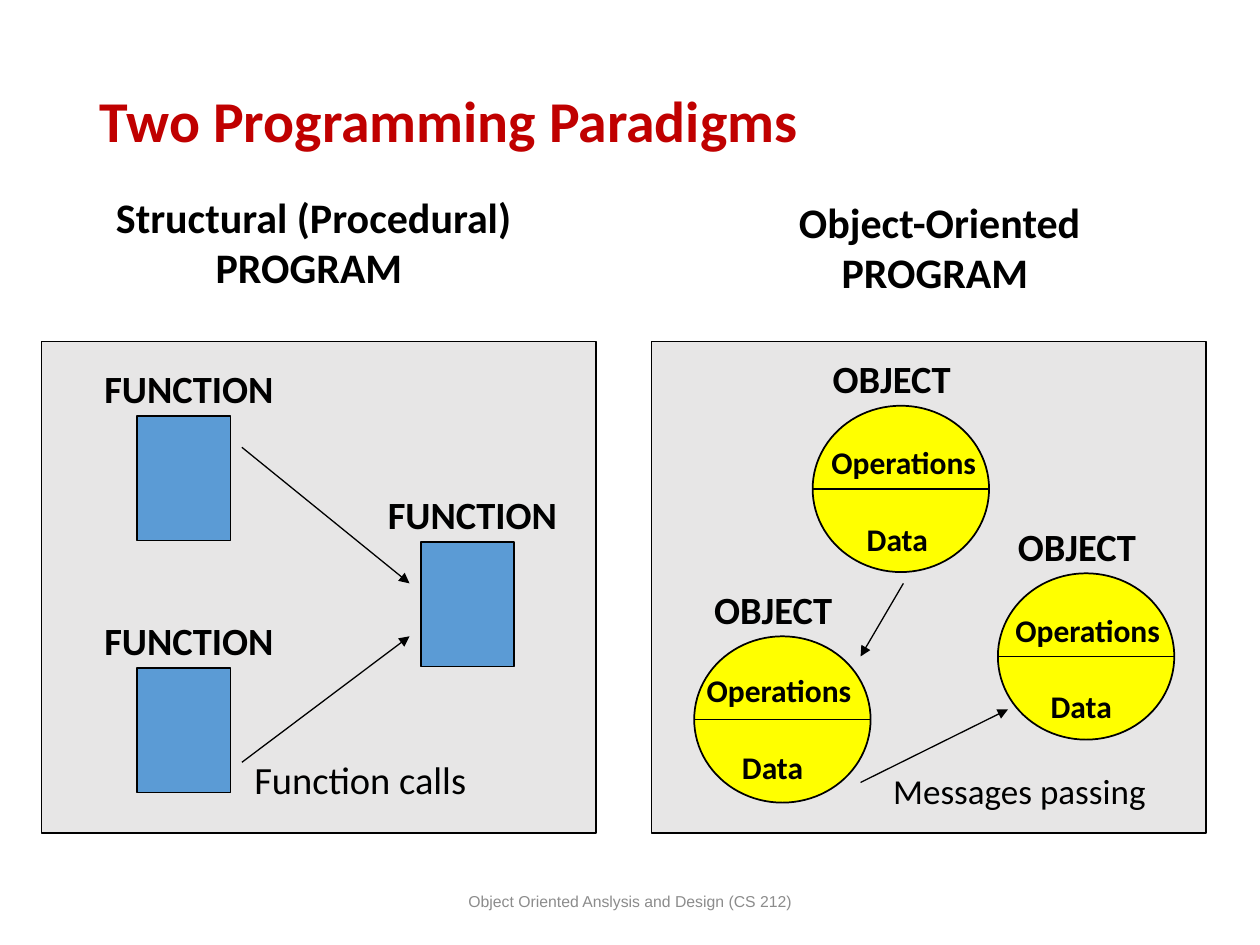
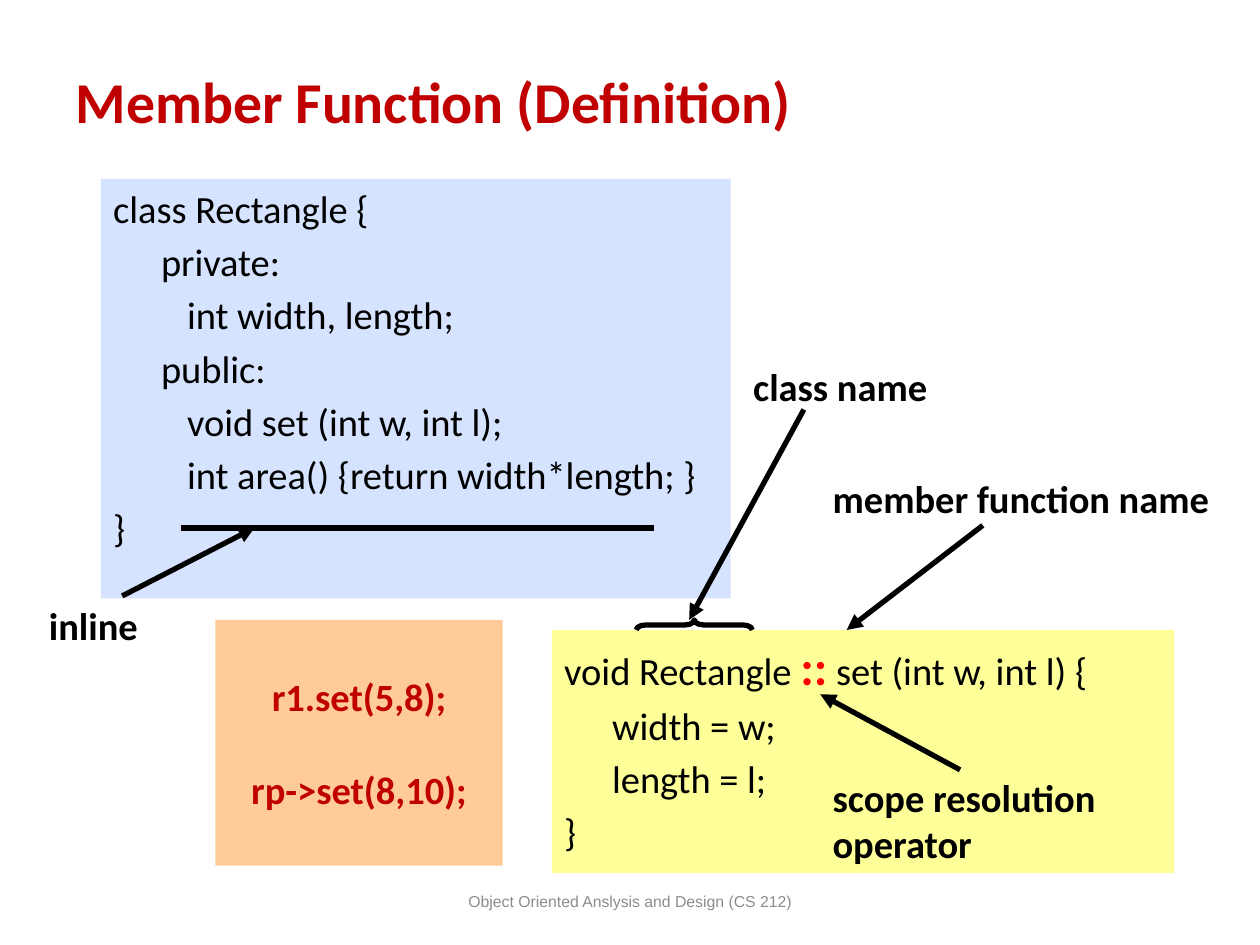
"""Build two slides on programming paradigms and member function definitions."""
import dataclasses

import lxml.etree
import pptx
import pptx.dml.color
import pptx.enum.shapes
import pptx.enum.text
import pptx.oxml.ns
import pptx.presentation
import pptx.shapes.autoshape
import pptx.slide
import pptx.util

EMU_PER_PX = 9144
BLACK, RED, SCOPE_RED = "000000", "C00000", "FF0000"
PANEL_GREY, FUNCTION_BLUE, OBJECT_YELLOW = "E7E6E6", "5B9BD5", "FFFF00"
CLASS_BLUE, DEFINITION_YELLOW, CALL_ORANGE = "D5E3FF", "FFFF99", "FFCC99"
FOOTER_GREY = "8C8C8C"
SHAPES = pptx.enum.shapes.MSO_SHAPE
ANCHOR = pptx.enum.text.MSO_ANCHOR
ALIGN = pptx.enum.text.PP_ALIGN


@dataclasses.dataclass(frozen=True)
class Box:
    left: int
    top: int
    width: int
    height: int


@dataclasses.dataclass(frozen=True)
class Run:
    text: str
    size: int = 22
    bold: bool = False
    color: str = BLACK
    font: str = "Calibri"


@dataclasses.dataclass(frozen=True)
class Paragraph:
    runs: tuple[Run, ...]
    align: ALIGN = ALIGN.LEFT
    before: int = 0
    margin: int = 0
    indent: int = 0
    spacing: float = 1.0


@dataclasses.dataclass(frozen=True)
class Stroke:
    start: tuple[int, int]
    end: tuple[int, int]
    weight: float = 1
    arrow: bool = True


@dataclasses.dataclass(frozen=True)
class ObjectCircle:
    left: int
    top: int
    content_left: int
    content_top: int


@dataclasses.dataclass(frozen=True)
class Callout:
    box: Box
    lines: tuple[str, ...]
    pointer: Stroke


FUNCTIONS = ((73, 285), (298, 385), (73, 485))
OBJECTS = (
    ObjectCircle(792, 455, 796, 480),
    ObjectCircle(551, 505, 551, 528),
    ObjectCircle(645, 322, 650, 347),
)
CALLS = (
    Stroke((192, 355), (325, 463), 0.75),
    Stroke((192, 605), (325, 505), 0.75),
    Stroke((683, 621), (800, 563), 0.75),
    Stroke((717, 463), (683, 521), 0.75),
)
CLASS_CODE = (
    "class Rectangle {",
    "\tprivate:",
    "\t   int width, length;",
    "\tpublic:",
    "\t   void set (int w, int l);",
    "\t   int area() {return width*length; }",
    "}",
)
CALLOUTS = (
    Callout(Box(29, 473, 93, 47), ("inline",), Stroke((97, 473), (202, 419), 3)),
    Callout(Box(588, 283, 163, 47), ("class name",), Stroke((638, 325), (547, 492), 3)),
    Callout(Box(651, 372, 331, 47), ("member function name",), Stroke((780, 417), (672, 500), 3)),
    Callout(Box(651, 609, 246, 84), ("scope resolution", "operator"), Stroke((762, 611), (651, 551), 3)),
)


def px(length: int) -> pptx.util.Emu:
    """Turn px into EMU."""
    return pptx.util.Emu(length * EMU_PER_PX)


def rgb(color: str) -> pptx.dml.color.RGBColor:
    """Turn a hex string into a colour."""
    return pptx.dml.color.RGBColor.from_string(color)


def set_all(target: object, values: dict[str, object]) -> None:
    """Set every attribute named in a dict of values."""
    for name, value in values.items():
        setattr(target, name, value)


def geometry(box: Box) -> tuple[pptx.util.Emu, ...]:
    """Give the four lengths of a box in EMU."""
    return tuple(px(length) for length in dataclasses.astuple(box))


def write(frame: pptx.text.text.TextFrame, paragraphs: tuple[Paragraph, ...],
          anchor: ANCHOR = ANCHOR.TOP, wrap: bool = True) -> None:
    """Fill a text frame with formatted paragraphs."""
    set_all(frame, {"word_wrap": wrap, "vertical_anchor": anchor,
                    "auto_size": pptx.enum.text.MSO_AUTO_SIZE.NONE})
    for index, content in enumerate(paragraphs):
        paragraph = frame.add_paragraph() if index else frame.paragraphs[0]
        properties = paragraph._p.get_or_add_pPr()
        properties.set("marL", str(px(content.margin)))
        properties.set("indent", str(px(content.indent)))
        set_all(paragraph, {"alignment": content.align, "line_spacing": content.spacing,
                            "space_before": pptx.util.Pt(content.before)})
        for part in content.runs:
            run = paragraph.add_run()
            run.text = part.text
            set_all(run.font, {"name": part.font, "size": pptx.util.Pt(part.size), "bold": part.bold})
            run.font.color.rgb = rgb(part.color)


def add_text(slide: pptx.slide.Slide, box: Box, *paragraphs: Paragraph,
             anchor: ANCHOR = ANCHOR.TOP, wrap: bool = True) -> None:
    """Add a text box."""
    write(slide.shapes.add_textbox(*geometry(box)).text_frame, paragraphs, anchor, wrap)


def add_block(slide: pptx.slide.Slide, kind: SHAPES, box: Box, fill: str | None = None,
              outline: float = 0) -> pptx.shapes.autoshape.Shape:
    """Add a preset shape with a plain fill and an optional black outline."""
    block = slide.shapes.add_shape(kind, *geometry(box))
    block.shadow.inherit = False
    if fill:
        block.fill.solid()
        block.fill.fore_color.rgb = rgb(fill)
    else:
        block.fill.background()
    if outline:
        block.line.color.rgb = rgb(BLACK)
        block.line.width = pptx.util.Pt(outline)
    else:
        block.line.fill.background()
    return block


def add_stroke(slide: pptx.slide.Slide, stroke: Stroke) -> None:
    """Add a black line, with an arrowhead at its end if asked."""
    ends = (px(length) for length in (*stroke.start, *stroke.end))
    connector = slide.shapes.add_connector(pptx.enum.shapes.MSO_CONNECTOR.STRAIGHT, *ends)
    connector.line.color.rgb = rgb(BLACK)
    connector.line.width = pptx.util.Pt(stroke.weight)
    if stroke.arrow:
        outline = connector.line._get_or_add_ln()
        lxml.etree.SubElement(outline, pptx.oxml.ns.qn("a:tailEnd"), type="triangle")
    lxml.etree.SubElement(connector._element.spPr, pptx.oxml.ns.qn("a:effectLst"))


def code(*lines: tuple[Run, ...]) -> tuple[Paragraph, ...]:
    """Lay out code lines with a hanging indent."""
    return tuple(Paragraph(runs, before=4 if index else 0, margin=38, indent=-38)
                 for index, runs in enumerate(lines))


def start_slide(deck: pptx.presentation.Presentation, heading: str, box: Box,
                anchor: ANCHOR) -> pptx.slide.Slide:
    """Add a slide with its title and the shared footer."""
    slide = deck.slides.add_slide(deck.slide_layouts.get_by_name("Title Only"))
    title = slide.shapes.title
    set_all(title, dict(zip(("left", "top", "width", "height"), geometry(box))))
    write(title.text_frame, (Paragraph((Run(heading, 33, True, RED),), spacing=0.9),), anchor)
    footer = Run("Object Oriented Anslysis and Design (CS 212)", 9, color=FOOTER_GREY, font="Arial")
    add_text(slide, Box(331, 695, 338, 40), Paragraph((footer,), ALIGN.CENTER), anchor=ANCHOR.MIDDLE)
    return slide


def add_function(slide: pptx.slide.Slide, left: int, top: int) -> None:
    """Add a labelled function box."""
    add_text(slide, Box(left, top, 160, 47), Paragraph((Run("FUNCTION", bold=True),)), wrap=False)
    add_block(slide, SHAPES.RECTANGLE, Box(left + 36, top + 45, 74, 99), FUNCTION_BLUE, 1)


def add_object(slide: pptx.slide.Slide, circle: ObjectCircle) -> None:
    """Add a labelled object circle split into operations and data."""
    left, middle = circle.left, circle.top + 66
    add_text(slide, Box(left + 6, circle.top - 45, 122, 47),
             Paragraph((Run("OBJECT", bold=True),)), wrap=False)
    add_block(slide, SHAPES.OVAL, Box(left, circle.top, 140, 132), OBJECT_YELLOW, 1)
    add_stroke(slide, Stroke((left, middle), (left + 140, middle), arrow=False))
    add_text(slide, Box(circle.content_left, circle.content_top, 141, 101),
             Paragraph((Run("Operations", 18, True),)),
             Paragraph((Run("Data", 18, True),), before=22, margin=28), wrap=False)


def build_paradigms(deck: pptx.presentation.Presentation) -> None:
    """Build the comparison of structural and object-oriented programs."""
    slide = start_slide(deck, "Two Programming Paradigms", Box(69, 56, 862, 72), ANCHOR.BOTTOM)
    for heading, box in (("Structural (Procedural) PROGRAM ", Box(71, 147, 356, 91)),
                         (" Object-Oriented PROGRAM", Box(592, 151, 300, 91))):
        add_text(slide, box, Paragraph((Run(heading, 24, True),), ALIGN.CENTER))
    for panel_left in (33, 517):
        add_block(slide, SHAPES.RECTANGLE, Box(panel_left, 271, 440, 390), PANEL_GREY, 1)
    for left, top in FUNCTIONS:
        add_function(slide, left, top)
    for circle in OBJECTS:
        add_object(slide, circle)
    for call in CALLS:
        add_stroke(slide, call)
    add_text(slide, Box(192, 595, 208, 47), Paragraph((Run("Function calls"),)))
    add_text(slide, Box(699, 606, 258, 44), Paragraph((Run("Messages passing", 20),)))


def build_member_function(deck: pptx.presentation.Presentation) -> None:
    """Build the annotated member function definition."""
    slide = start_slide(deck, "Member Function (Definition)", Box(50, 44, 900, 78), ANCHOR.MIDDLE)
    signature = (Run("void Rectangle "), Run("::", 28, True, SCOPE_RED), Run(" set (int w, int l) {"))
    body = ((Run(line),) for line in ("\twidth = w;", "\tlength = l;", "}"))
    member_calls = tuple(Paragraph((Run(call, bold=True, color=RED),), ALIGN.CENTER, before)
                         for call, before in (("r1.set(5,8);", 0), ("rp->set(8,10);", 27)))
    for box, fill, paragraphs, anchor in (
        (Box(80, 142, 500, 333), CLASS_BLUE, code(*((Run(line),) for line in CLASS_CODE)), ANCHOR.TOP),
        (Box(438, 500, 494, 193), DEFINITION_YELLOW, code(signature, *body), ANCHOR.TOP),
        (Box(171, 492, 228, 195), CALL_ORANGE, member_calls, ANCHOR.MIDDLE),
    ):
        write(add_block(slide, SHAPES.RECTANGLE, box, fill).text_frame, paragraphs, anchor)
    add_stroke(slide, Stroke((144, 419), (519, 419), 3, arrow=False))
    class_brace = add_block(slide, SHAPES.LEFT_BRACE, Box(547, 450, 8, 92), outline=3)
    class_brace.rotation = 90
    class_brace.adjustments[0] = 0.92
    for callout in CALLOUTS:
        add_text(slide, callout.box,
                 *(Paragraph((Run(line, bold=True),)) for line in callout.lines), wrap=False)
        add_stroke(slide, callout.pointer)


def main() -> None:
    """Build and save the deck."""
    deck = pptx.Presentation()
    set_all(deck, {"slide_width": px(1000), "slide_height": px(750)})
    build_paradigms(deck)
    build_member_function(deck)
    deck.save("out.pptx")


if __name__ == "__main__":
    main()
